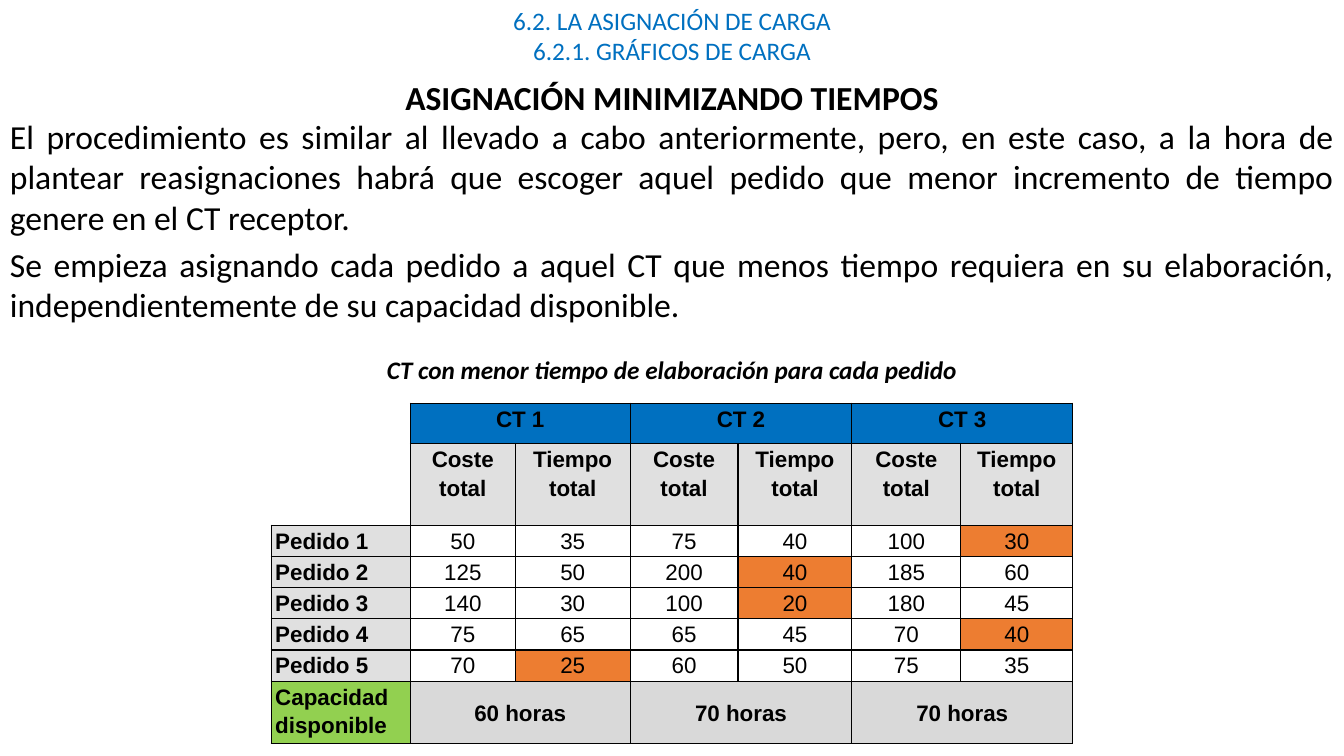
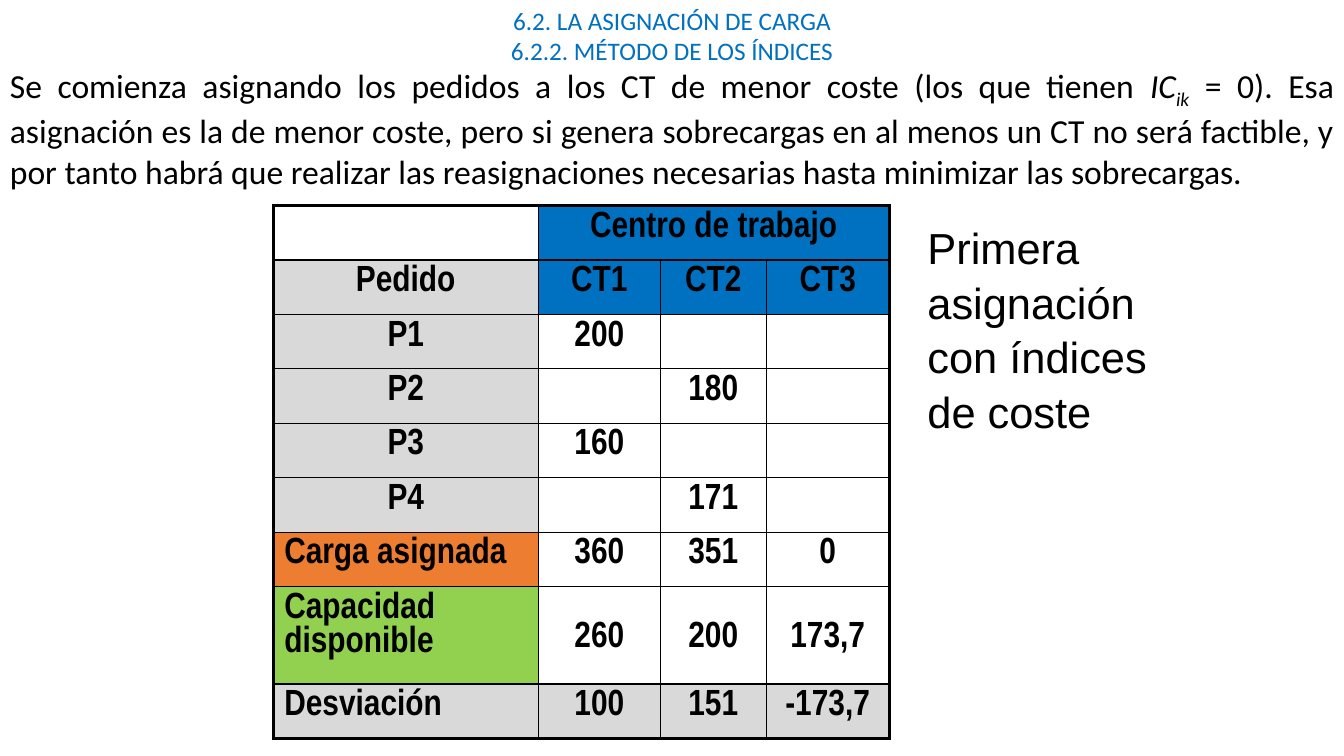
from lxml import etree
from pptx import Presentation
from pptx.dml.color import RGBColor
from pptx.enum import text as tx
from pptx.oxml import ns
from pptx.util import Inches, Pt

HUES = {"black": "000000", "white": "FFFFFF", "blue": "0070C0", "orange": "ED7D31",
        "green": "92D050", "pale": "E0E0E0", "grey": "D9D9D9"}
ALIGN = {"l": tx.PP_ALIGN.LEFT, "c": tx.PP_ALIGN.CENTER, "j": tx.PP_ALIGN.JUSTIFY}
WIDE = 13.33


def rgb(name):
    """Return the named colour."""
    return RGBColor.from_string(HUES[name])


def write(frame, paras, size=24, font="Calibri", hue="black", bold=False,
          ital=False, align="c", lead=None, gap=0):
    """Fill a text frame; a paragraph is a string or a list of (text, italic, baseline)."""
    frame.word_wrap = True
    for num, runs in enumerate(paras):
        para = frame.add_paragraph() if num else frame.paragraphs[0]
        para.alignment = ALIGN[align]
        para.space_before = Pt(gap if num else 0)
        if lead:
            para.line_spacing = lead
        for words, slant, base in [(runs, ital, 0)] if isinstance(runs, str) else runs:
            run = para.add_run()
            run.text = words
            run.font.size, run.font.name = Pt(size), font
            run.font.bold, run.font.italic = bold, slant
            run.font.color.rgb = rgb(hue)
            if base:
                run.font._element.set("baseline", str(base * 1000))


def label(slide, box, paras, **fmt):
    """Place a text box."""
    shape = slide.shapes.add_textbox(*map(Inches, box))
    write(shape.text_frame, paras, **fmt)


def edge(cell, sides):
    """Draw cell borders from widths in points; zero hides a side."""
    props = cell._tc.get_or_add_tcPr()
    for side in "LRTB":
        line = etree.SubElement(props, ns.qn("a:ln" + side), w=str(Pt(sides[side])))
        if sides[side]:
            fill = etree.SubElement(line, ns.qn("a:solidFill"))
            etree.SubElement(fill, ns.qn("a:srgbClr"), val=HUES["black"])
        else:
            etree.SubElement(line, ns.qn("a:noFill"))


def fill(cell, words, hue, pad, mid=False, **fmt):
    """Colour a cell and write its text."""
    cell.fill.solid()
    cell.fill.fore_color.rgb = rgb(hue)
    cell.margin_left = cell.margin_right = Inches(pad[0])
    cell.margin_top = cell.margin_bottom = Inches(pad[1])
    cell.vertical_anchor = tx.MSO_ANCHOR.MIDDLE if mid else tx.MSO_ANCHOR.TOP
    if words:
        write(cell.text_frame, [words], **fmt)


def grid(slide, spot, cols, rows, data, spans, rule, style):
    """Build a table; rule gives border widths and style gives each cell's format."""
    box = (*spot, sum(cols), sum(rows))
    table = slide.shapes.add_table(len(rows), len(cols), *map(Inches, box)).table
    table.first_row = table.horz_banding = False
    for col, width in zip(table.columns, cols):
        col.width = Inches(width)
    for row, high in zip(table.rows, rows):
        row.height = Inches(high)
    for row, col, last in spans:
        table.cell(row, col).merge(table.cell(row, last))
    ends = {(row, col): last for row, col, last in spans}
    for row, line in enumerate(data):
        for col, words in enumerate(line):
            cell = table.cell(row, col)
            edge(cell, rule(row, col, ends.get((row, col), col)))
            fill(cell, words, **style(row, col))


def base(deck, topic):
    """Add a blank slide with the shared heading."""
    slide = deck.slides.add_slide(deck.slide_layouts[6])
    label(slide, (0, 0, WIDE, 0.71), ["6.2. LA ASIGNACIÓN DE CARGA", topic],
          size=18, hue="blue")
    return slide


def times(slide, spot):
    """Place the table of costs and times for each order."""
    best = {(2, 6), (3, 4), (4, 4), (5, 6), (6, 2)}
    costs = [[50, 35, 75, 40, 100, 30], [125, 50, 200, 40, 185, 60],
             [140, 30, 100, 20, 180, 45], [75, 65, 65, 45, 70, 40],
             [70, 25, 60, 50, 75, 35]]
    data = [["", "CT 1", "", "CT 2", "", "CT 3", ""],
            [""] + ["Coste total", "Tiempo total"] * 3]
    data += [[f"Pedido {num}", *map(str, line)] for num, line in enumerate(costs, 1)]
    data.append(["Capacidad disponible", "60 horas", "", "70 horas", "", "70 horas", ""])

    def rule(row, col, last):
        """Leave the top left corner open."""
        bare = col == 0 and row < 2
        return {"L": 0 if bare else 1, "R": 1, "T": 0 if bare else 1,
                "B": 0 if bare and row == 0 else 1}

    def style(row, col):
        """Choose the format of a cell."""
        if col == 0:
            hue = "white" if row < 2 else "green" if row == 7 else "pale"
        elif (row, col) in best:
            hue = "orange"
        else:
            hue = {0: "blue", 1: "pale", 7: "grey"}.get(row, "white")
        return dict(hue=hue, pad=(0.04, 0), mid=row == 7 and col > 0, size=16,
                    font="Arial", bold=col == 0 or row in (0, 1, 7),
                    align="c" if col else "l", lead=1.15)

    spans = [(row, col, col + 1) for row in (0, 7) for col in (1, 3, 5)]
    grid(slide, spot, [1.38, 1.04, 1.14, 1.07, 1.13, 1.08, 1.11],
         [0.4, 0.81] + [0.31] * 5 + [0.61], data, spans, rule, style)


def loads(slide, spot):
    """Place the table of loads for each work centre."""
    data = [["", "Centro de trabajo", "", ""], ["Pedido", "CT1", "CT2", "CT3"],
            ["P1", "200", "", ""], ["P2", "", "180", ""],
            ["P3", "160", "", ""], ["P4", "", "171", ""],
            ["Carga asignada", "360", "351", "0"],
            ["Capacidad disponible", "260", "200", "173,7"],
            ["Desviación", "100", "151", "-173,7"]]

    def rule(row, col, last):
        """Thicken the outer frame."""
        outer = {"L": col == 0, "R": last == 3, "T": row == 0, "B": row == 8}
        return {side: 2.25 if out else 1 for side, out in outer.items()}

    def style(row, col):
        """Choose the format of a cell."""
        head = col == 0 or row < 2
        if col == 0:
            hue = {0: "white", 6: "orange", 7: "green"}.get(row, "grey")
        else:
            hue = "blue" if row < 2 else "grey" if row == 8 else "white"
        return dict(hue=hue, pad=(0.11, 0.05) if head else (0.07, 0),
                    mid=row == 7 and col > 0, size=26, font="Arial Narrow", bold=True,
                    align="l" if col == 0 and row > 5 else "c",
                    lead=None if head else 1.15)

    grid(slide, spot, [2.63, 1.21, 1.05, 1.22], [0.54] * 7 + [0.96, 0.54],
         data, [(0, 1, 3)], rule, style)


def first(deck):
    """Build the slide on minimising times."""
    slide = base(deck, "6.2.1. GRÁFICOS DE CARGA")
    label(slide, (0, 1.1, WIDE, 1.73), [
        "El procedimiento es similar al llevado a cabo anteriormente, pero, en este caso, "
        "a la hora de plantear reasignaciones habrá que escoger aquel pedido que menor "
        "incremento de tiempo genere en el CT receptor.",
        "Se empieza asignando cada pedido a aquel CT que menos tiempo requiera en su "
        "elaboración, independientemente de su capacidad disponible."], align="j", gap=5)
    label(slide, (3.86, 0.71, 5.61, 0.5), ["ASIGNACIÓN MINIMIZANDO TIEMPOS"], bold=True)
    times(slide, (2.69, 4))
    label(slide, (3.56, 3.47, 6.21, 0.4),
          ["CT con menor tiempo de elaboración para cada pedido"],
          size=18, bold=True, ital=True)


def second(deck):
    """Build the slide on the index method."""
    slide = base(deck, "6.2.2. MÉTODO DE LOS ÍNDICES")
    label(slide, (0, 0.59, WIDE, 1.73), [[
        ("Se comienza asignando los pedidos a los CT de menor coste (los que tienen ",
         False, 0),
        ("IC", True, 0), ("ik", True, -25),
        (" = 0). Esa asignación es la de menor coste, pero si genera sobrecargas en al "
         "menos un CT no será factible, y por tanto habrá que realizar las reasignaciones "
         "necesarias hasta minimizar las sobrecargas.", False, 0)]], align="j")
    loads(slide, (2.71, 2.04))
    label(slide, (9.1, 2.12, 2.62, 2.2), ["Primera asignación con índices de coste"],
          size=31, font="Arial", align="l", lead=1.05)


def main():
    """Build and save the deck."""
    deck = Presentation()
    deck.slide_width, deck.slide_height = Inches(WIDE), Inches(7.5)
    first(deck)
    second(deck)
    deck.save("out.pptx")


if __name__ == "__main__":
    main()
